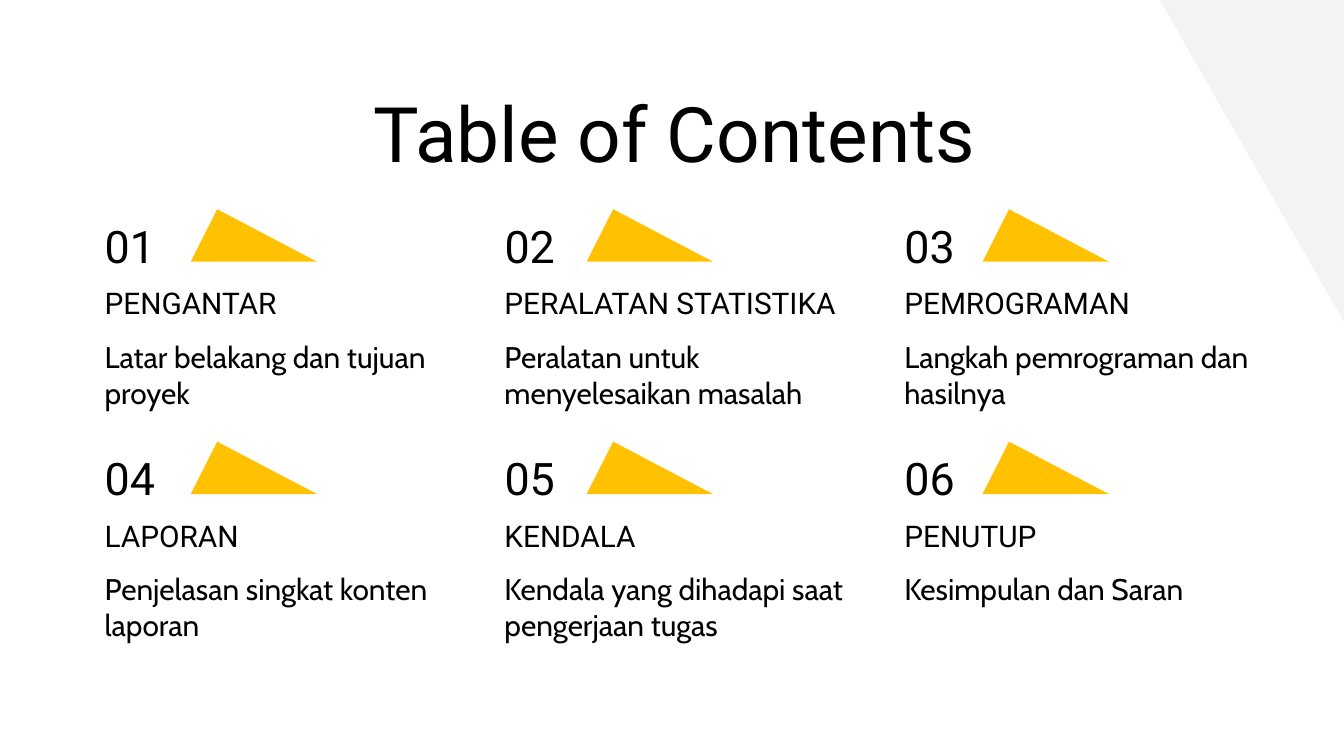
from dataclasses import dataclass

import pptx
import pptx.dml.color
import pptx.enum.shapes
import pptx.enum.text
import pptx.util

Pt = pptx.util.Pt
Anchor = pptx.enum.text.MSO_ANCHOR
Align = pptx.enum.text.PP_ALIGN
Shape = pptx.enum.shapes.MSO_SHAPE

BLACK = "000000"
AMBER = "FFC100"
LIGHT_GRAY = "F3F3F3"
COLUMNS = 3
TEXT_LEFT, TEXT_PITCH = 49, 214.2
MARKER_LEFT, MARKER_PITCH = 102.2, 212.1
ROW_PITCH = 124.5
LINE_HEIGHT = 28.1


@dataclass(frozen=True)
class Section:
    heading: str
    summary: str


@dataclass(frozen=True)
class Style:
    font: str
    size: float
    anchor: Anchor = Anchor.TOP
    align: Align = Align.LEFT
    space_after: float = 0


TITLE = Style("Roboto", 41, align=Align.CENTER)
NUMBER = Style("Roboto", 24, anchor=Anchor.MIDDLE)
HEADING = Style("Roboto", 16, space_after=16)
SUMMARY = Style("Cabin", 16)

SECTIONS = [
    Section("PENGANTAR", "Latar belakang dan tujuan proyek"),
    Section("PERALATAN STATISTIKA", "Peralatan untuk menyelesaikan masalah"),
    Section("PEMROGRAMAN", "Langkah pemrograman dan hasilnya"),
    Section("LAPORAN", "Penjelasan singkat konten laporan"),
    Section("KENDALA", "Kendala yang dihadapi saat pengerjaan tugas"),
    Section("PENUTUP", "Kesimpulan dan Saran"),
]


def color(value: str) -> pptx.dml.color.RGBColor:
    return pptx.dml.color.RGBColor.from_string(value)


def write_text(shape, text: str, style: Style) -> None:
    frame = shape.text_frame
    frame.text = text
    frame.word_wrap = True
    frame.auto_size = pptx.enum.text.MSO_AUTO_SIZE.NONE
    frame.vertical_anchor = style.anchor
    frame.margin_left = frame.margin_right = Pt(7.2)
    frame.margin_top = frame.margin_bottom = Pt(7.2)
    paragraph = frame.paragraphs[0]
    paragraph.alignment = style.align
    paragraph.space_after = Pt(style.space_after)
    paragraph.font.name = style.font
    paragraph.font.size = Pt(style.size)
    paragraph.font.color.rgb = color(BLACK)


def add_text(slide, left: float, top: float, width: float, text: str, style: Style) -> None:
    shape = slide.shapes.add_textbox(Pt(left), Pt(top), Pt(width), Pt(LINE_HEIGHT))
    write_text(shape, text, style)


def add_filled_shape(slide, kind: Shape, left: float, top: float,
                     width: float, height: float, fill: str):
    shape = slide.shapes.add_shape(kind, Pt(left), Pt(top), Pt(width), Pt(height))
    shape.shadow.inherit = False
    shape.fill.solid()
    shape.fill.fore_color.rgb = color(fill)
    shape.line.fill.background()
    return shape


def add_section(slide, index: int, section: Section) -> None:
    row, column = divmod(index, COLUMNS)
    left = TEXT_LEFT + column * TEXT_PITCH
    offset = row * ROW_PITCH
    marker = add_filled_shape(slide, Shape.ISOSCELES_TRIANGLE,
                              MARKER_LEFT + column * MARKER_PITCH, 112.1 + offset,
                              67.7, LINE_HEIGHT, AMBER)
    marker.adjustments[0] = 0.21
    add_text(slide, left, 117.4 + offset, 85, f"{index + 1:02d}", NUMBER)
    add_text(slide, left, 145.4 + offset, 204.5, section.heading, HEADING)
    add_text(slide, left, 174.2 + offset, 204.5, section.summary, SUMMARY)


def main() -> None:
    presentation = pptx.Presentation()
    presentation.slide_width = Pt(720)
    presentation.slide_height = Pt(405)
    slide = presentation.slides.add_slide(presentation.slide_layouts[5])

    corner = add_filled_shape(slide, Shape.RIGHT_TRIANGLE, 621.4, 0, 98.6, 172.4, LIGHT_GRAY)
    corner.rotation = 180

    title = slide.shapes.title
    title.left, title.top = Pt(42.5), Pt(38.9)
    title.width, title.height = Pt(638), Pt(45.4)
    write_text(title, "Table of Contents", TITLE)

    for index, section in enumerate(SECTIONS):
        add_section(slide, index, section)

    presentation.save("out.pptx")


if __name__ == "__main__":
    main()
